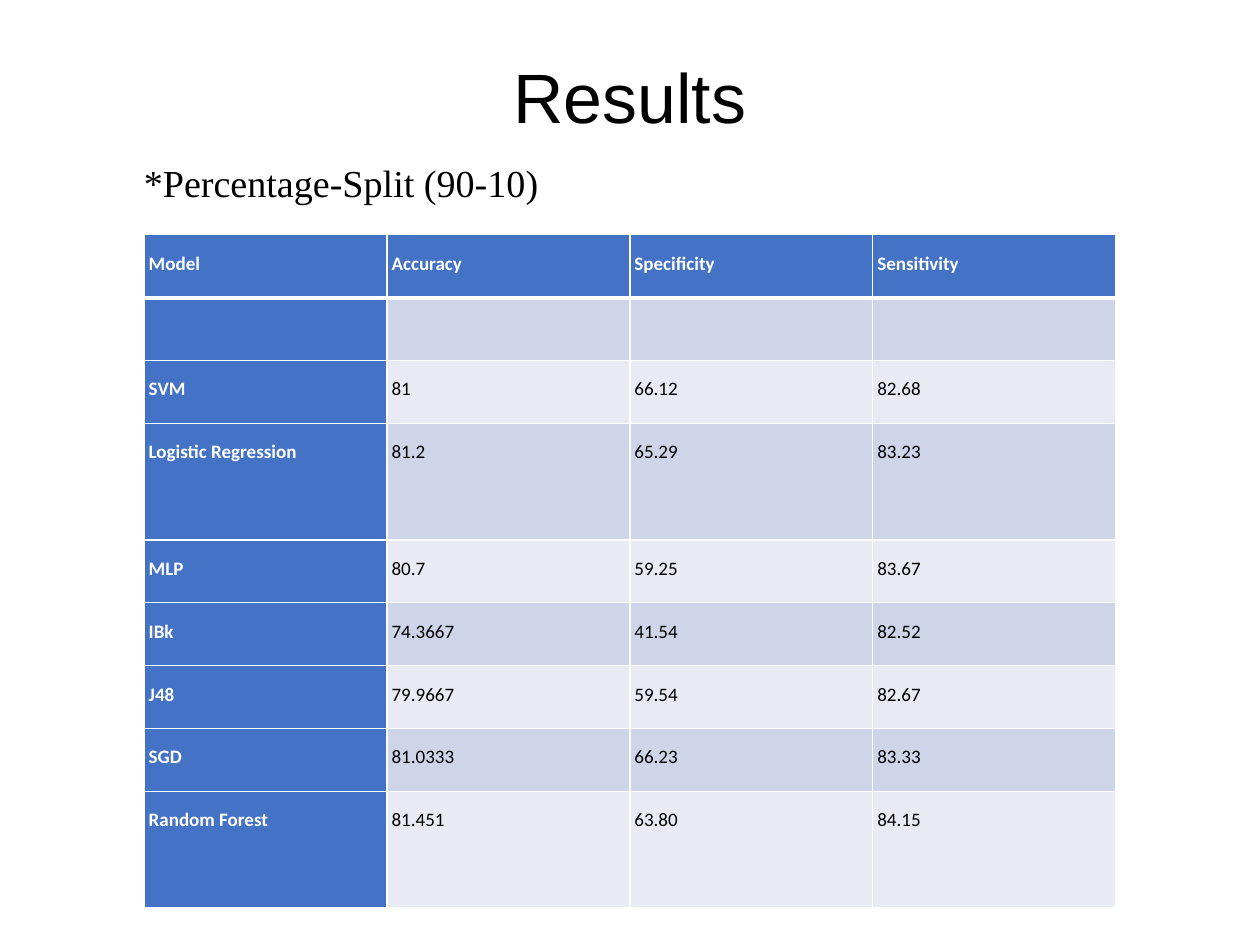
from lxml import etree
from pptx import Presentation
from pptx import util as u
from pptx.dml import color
from pptx.enum import text
from pptx.oxml import ns

TITLE = "Results"
SUBTITLE = "*Percentage-Split (90-10)"
RESULTS = [
    ("Model", "Accuracy", "Specificity", "Sensitivity"),
    ("", "", "", ""),
    ("SVM", "81", "66.12", "82.68"),
    ("Logistic Regression", "81.2", "65.29", "83.23"),
    ("MLP", "80.7", "59.25", "83.67"),
    ("IBk", "74.3667", "41.54", "82.52"),
    ("J48", "79.9667", "59.54", "82.67"),
    ("SGD", "81.0333", "66.23", "83.33"),
    ("Random Forest", "81.451", "63.80", "84.15"),
]
TALL_MODELS = {"Logistic Regression", "Random Forest"}
ROW_HEIGHT, TALL_HEIGHT, COLUMN_WIDTH = 39.6, 73.4, 153
TABLE_LEFT, TABLE_TOP = 90.8, 147.9
BLACK, WHITE, BLUE = "000000", "FFFFFF", "4472C4"
BANDS = ("E8EBF4", "CFD5E9")
THIN, THICK = 0.96, 3


def rgb(value):
    return color.RGBColor.from_string(value)


def add_run(paragraph, words, font, size, ink, bold=False):
    run = paragraph.add_run()
    run.text = words
    run.font.name = font
    run.font.size = u.Pt(size)
    run.font.bold = bold
    run.font.color.rgb = rgb(ink)


def set_margins(frame, horizontal, vertical):
    frame.margin_left = frame.margin_right = u.Pt(horizontal)
    frame.margin_top = frame.margin_bottom = u.Pt(vertical)


def add_text(slide, words, box, margins, font, size, anchor, align):
    shape = slide.shapes.add_textbox(*map(u.Pt, box))
    frame = shape.text_frame
    frame.word_wrap = True
    frame.vertical_anchor = anchor
    set_margins(frame, *margins)
    paragraph = frame.paragraphs[0]
    paragraph.alignment = align
    add_run(paragraph, words, font, size, BLACK)


def set_borders(cell, widths):
    properties = cell._tc.get_or_add_tcPr()
    for position, (side, width) in enumerate(widths.items()):
        line = etree.Element(ns.qn("a:ln" + side), w=str(u.Pt(width)))
        fill = etree.SubElement(line, ns.qn("a:solidFill"))
        etree.SubElement(fill, ns.qn("a:srgbClr"), val=WHITE)
        properties.insert(position, line)


def fill_cell(cell, words, row, column):
    heading = row == 0 or column == 0
    cell.fill.solid()
    cell.fill.fore_color.rgb = rgb(BLUE if heading else BANDS[row % 2])
    set_margins(cell, 2.9, 3.6)
    set_borders(cell, {"L": THIN, "R": THIN,
                       "T": THICK if row == 1 else THIN,
                       "B": THICK if row == 0 else THIN})
    if words:
        paragraph = cell.text_frame.paragraphs[0]
        paragraph.line_spacing = 1.5
        add_run(paragraph, words, "Calibri", 12, WHITE if heading else BLACK, heading)


def add_results(slide):
    heights = [TALL_HEIGHT if row[0] in TALL_MODELS else ROW_HEIGHT for row in RESULTS]
    columns = len(RESULTS[0])
    table = slide.shapes.add_table(
        len(RESULTS), columns, u.Pt(TABLE_LEFT), u.Pt(TABLE_TOP),
        u.Pt(COLUMN_WIDTH * columns), u.Pt(sum(heights))).table
    for column in table.columns:
        column.width = u.Pt(COLUMN_WIDTH)
    for row, (values, height) in enumerate(zip(RESULTS, heights)):
        table.rows[row].height = u.Pt(height)
        for column, words in enumerate(values):
            fill_cell(table.cell(row, column), words, row, column)


presentation = Presentation()
presentation.slide_width = u.Pt(793.7)
presentation.slide_height = u.Pt(595.3)
slide = presentation.slides.add_slide(presentation.slide_layouts[6])
add_text(slide, TITLE, (39.7, 22.5, 714.2, 75), (0, 0), "Arial", 44,
         text.MSO_ANCHOR.MIDDLE, text.PP_ALIGN.CENTER)
add_results(slide)
add_text(slide, SUBTITLE, (83.5, 96.8, 305, 57.6), (7.2, 3.6), "Times New Roman", 24,
         text.MSO_ANCHOR.TOP, text.PP_ALIGN.LEFT)
presentation.save("out.pptx")
